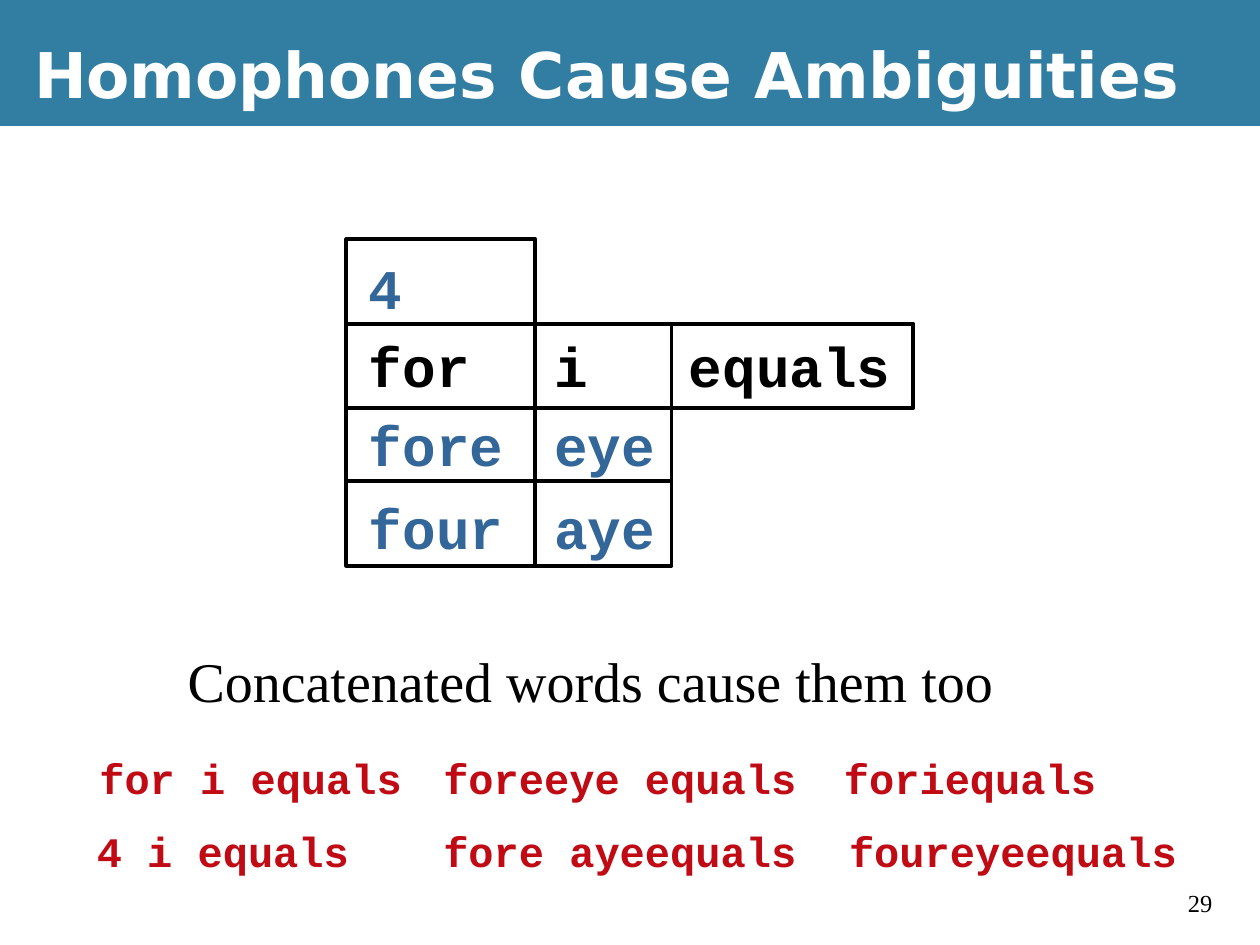
from pptx import Presentation
from pptx.dml.color import RGBColor
from pptx.enum.shapes import MSO_SHAPE as SHAPE
from pptx.enum.text import MSO_ANCHOR as ANCHOR, PP_ALIGN as ALIGN
from pptx.util import Emu, Pt

COLORS = {"band": "327EA3", "white": "FFFFFF", "black": "000000",
          "blue": "336699", "red": "C00B15"}
MONO, SERIF, SANS = "Courier New", "Times New Roman", "DejaVu Sans"

TITLE = "Homophones Cause Ambiguities"
SUBTITLE = "Concatenated words cause them too"
PAGE = "29"

WORD_ROWS = [
    (196, "blue", ["4"]),
    (258, "black", ["for", "i", "equals"]),
    (321, "blue", ["fore", "eye"]),
    (387, "blue", ["four", "aye"]),
]
WORD_LEFTS = [283, 430, 537]
COL_EDGES = [275, 425, 533, 725]
ROW_EDGES = [190, 257, 324, 382, 449]
FRAMES = [(0, 1, 3, 2), (1, 3, 2, 4), (0, 0, 1, 4), (0, 1, 2, 3)]

PHRASES = [
    (69, 592, "for i equals"), (342, 592, "foreeye equals"), (660, 592, "foriequals"),
    (67, 650, "4 i equals"), (342, 650, "fore ayeequals"), (664, 650, "foureyeequals"),
]

SCALE = 9144
INSET = 10


def px(*values):
    return [Emu(v * SCALE) for v in values]


def color(name):
    return RGBColor.from_string(COLORS[name])


def write(tf, text, size, font, shade, bold):
    p = tf.paragraphs[0]
    p.alignment = ALIGN.LEFT
    r = p.add_run()
    r.text = text
    r.font.size, r.font.name, r.font.bold = Pt(size), font, bold
    r.font.color.rgb = color(shade)


def add_text(s, box, text, size, font, shade, bold=False, wrap=False):
    tf = s.shapes.add_textbox(*px(*box)).text_frame
    tf.word_wrap = wrap
    write(tf, text, size, font, shade, bold)


def add_mono(s, left, top, text, size, shade):
    width = round(len(text) * size * 0.6 / 72 * 100) + 2 * INSET
    height = 64 if size == 32 else 50
    add_text(s, (left, top, width, height), text, size, MONO, shade, True)


def add_rect(s, box):
    sp = s.shapes.add_shape(SHAPE.RECTANGLE, *px(*box))
    sp.shadow.inherit = False
    return sp


def add_frame(s, left, top, right, bottom):
    x, y = COL_EDGES[left], ROW_EDGES[top]
    sp = add_rect(s, (x, y, COL_EDGES[right] - x, ROW_EDGES[bottom] - y))
    sp.fill.background()
    sp.line.color.rgb = color("black")
    sp.line.width = Pt(2.25)


def main():
    prs = Presentation()
    prs.slide_width, prs.slide_height = px(1000, 750)
    s = prs.slides.add_slide(prs.slide_layouts[5])
    s.background.fill.solid()
    s.background.fill.fore_color.rgb = color("white")

    band = add_rect(s, (0, 0, 1000, 100))
    band.fill.solid()
    band.fill.fore_color.rgb = color("band")
    band.line.fill.background()

    title = s.shapes.title
    band._element.addnext(title._element)
    title.left, title.top, title.width, title.height = px(17, 8, 975, 100)
    title.text_frame.vertical_anchor = ANCHOR.MIDDLE
    write(title.text_frame, TITLE, 36, SANS, "white", True)

    for frame in FRAMES:
        add_frame(s, *frame)
    for top, shade, words in WORD_ROWS:
        for left, word in zip(WORD_LEFTS, words):
            add_mono(s, left, top, word, 32, shade)

    add_text(s, (139, 508, 660, 64), SUBTITLE, 32, SERIF, "black")
    for left, top, phrase in PHRASES:
        add_mono(s, left, top, phrase, 24, "red")
    add_text(s, (933, 700, 50, 34), PAGE, 14, SERIF, "black", wrap=True)

    prs.save("out.pptx")


if __name__ == "__main__":
    main()
